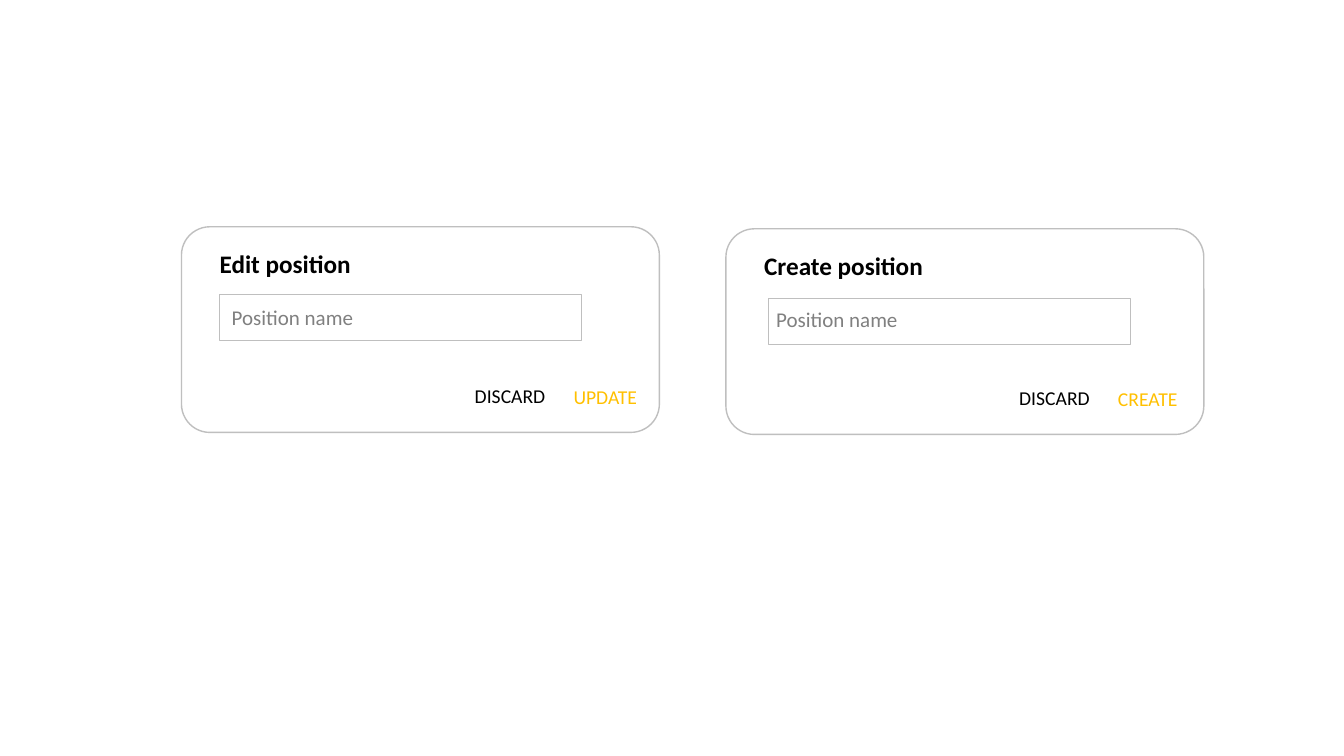
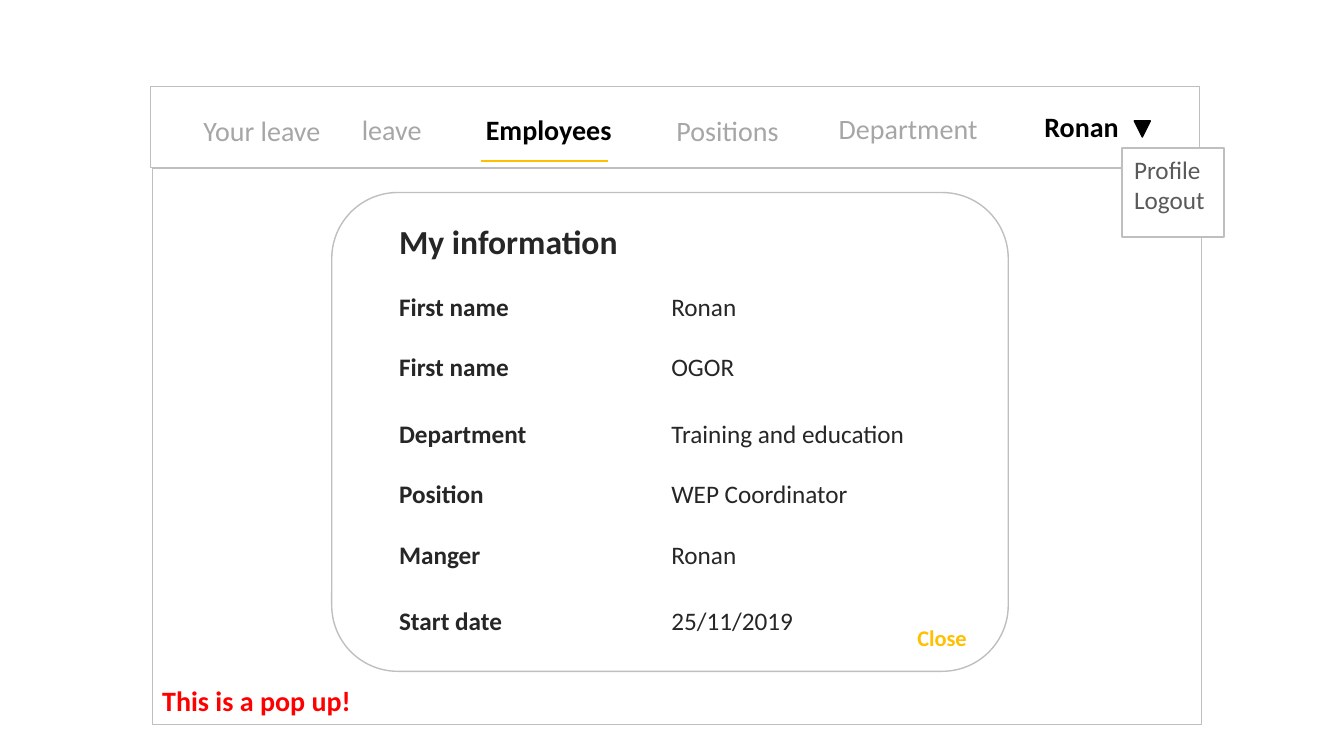
"""Build two wireframe slides: the position dialogs and the employee information pop-up."""
from lxml import etree
from pptx import Presentation
from pptx.dml.color import RGBColor
from pptx.enum.shapes import MSO_CONNECTOR, MSO_SHAPE
from pptx.enum.text import MSO_AUTO_SIZE
from pptx.oxml.ns import qn
from pptx.util import Emu, Pt

RECTANGLE = MSO_SHAPE.RECTANGLE
ROUNDED = MSO_SHAPE.ROUNDED_RECTANGLE
TRIANGLE = MSO_SHAPE.FLOWCHART_MERGE
STRAIGHT = MSO_CONNECTOR.STRAIGHT
GROW = MSO_AUTO_SIZE.SHAPE_TO_FIT_TEXT

PX = 9144
FONT = "Calibri"
CORNER = 0.138
COLORS = {
    "black": "000000",
    "white": "FFFFFF",
    "border": "BFBFBF",
    "accent": "FFC000",
    "hint": "808080",
    "tab": "A6A6A6",
    "menu": "595959",
    "ink": "262626",
    "alert": "FF0000",
}


def px(length):
    return Emu(length * PX)


def color(name):
    return RGBColor.from_string(COLORS[name])


def write(frame, text, size=18, ink="black", bold=False):
    for index, line in enumerate(text.split("\n")):
        para = frame.paragraphs[0] if index == 0 else frame.add_paragraph()
        span = para.add_run()
        span.text = line
        span.font.name = FONT
        span.font.size = Pt(size)
        span.font.bold = bold
        span.font.color.rgb = color(ink)


class Wireframe:
    def __init__(self):
        self.deck = Presentation()
        self.deck.slide_width = px(1333)
        self.deck.slide_height = px(750)
        self.page = None

    def new_page(self):
        self.page = self.deck.slides.add_slide(self.deck.slide_layouts[6])

    def panel(self, left, top, width, height, kind=RECTANGLE, fill=None, line="border"):
        box = self.page.shapes.add_shape(kind, px(left), px(top), px(width), px(height))
        box.shadow.inherit = False
        if kind == ROUNDED:
            box.adjustments[0] = CORNER
        if fill:
            box.fill.solid()
            box.fill.fore_color.rgb = color(fill)
        else:
            box.fill.background()
        box.line.color.rgb = color(line)
        box.line.width = Pt(1)

    def label(self, left, top, width, height, text, wrap=True, **style):
        box = self.page.shapes.add_textbox(px(left), px(top), px(width), px(height))
        frame = box.text_frame
        frame.word_wrap = wrap
        frame.auto_size = GROW
        write(frame, text, **style)

    def underline(self, left, top, width):
        line = self.page.shapes.add_connector(
            STRAIGHT, px(left), px(top), px(left + width), px(top))
        line.line.color.rgb = color("accent")
        line.line.width = Pt(1.5)
        etree.SubElement(line._element.spPr, qn("a:effectLst"))

    def dialog(self, left, top, title, action, action_width, field_left, field_top):
        self.panel(left, top, 474, 204, ROUNDED)
        self.label(left + 379, top + 152, action_width, 34, action,
                   wrap=False, size=14, ink="accent")
        self.label(left + 281, top + 151, 91, 34, "DISCARD", wrap=False, size=14)
        self.label(left + 28, top + 16, 252, 40, title, bold=True)
        self.label(left + 40, top + 72, 313, 35, "Position name", size=15, ink="hint")
        self.panel(field_left, field_top, 359, 46)


def build_dialogs(wireframe):
    wireframe.new_page()
    wireframe.dialog(180, 225, "Edit position", "UPDATE", 84, 218, 292)
    wireframe.dialog(720, 227, "Create position", "CREATE", 80, 762, 296)


def build_information(wireframe):
    wireframe.new_page()
    wireframe.panel(149, 86, 1041, 80)
    tabs = [
        ("Your leave", 192, 108, 137),
        ("leave", 349, 107, 80),
        ("Employees", 472, 107, 146),
        ("Positions", 661, 108, 123),
        ("Department", 822, 106, 162),
        ("Ronan", 1026, 104, 95),
    ]
    for text, left, top, width in tabs:
        strong = text in ("Employees", "Ronan")
        wireframe.label(left, top, width, 44, text, wrap=False, size=20,
                        ink="black" if strong else "tab", bold=strong)
    wireframe.panel(1125, 120, 16, 16, TRIANGLE, fill="black", line="black")
    wireframe.panel(151, 167, 1041, 552)
    wireframe.panel(1113, 147, 101, 88, fill="white")
    wireframe.label(1115, 148, 103, 71, "Profile\nLogout", ink="menu")
    wireframe.underline(477, 160, 126)

    wireframe.panel(329, 191, 671, 475, ROUNDED)
    wireframe.label(386, 214, 338, 50, "My information", size=24, ink="ink", bold=True)
    details = [
        (284, "First name", "Ronan"),
        (344, "First name", "OGOR"),
        (410, "Department", "Training and education"),
        (470, "Position", "WEP Coordinator"),
        (530, "Manger", "Ronan"),
        (596, "Start date", "25/11/2019"),
    ]
    for top, name, value in details:
        wireframe.label(386, top, 163, 40, name, ink="ink", bold=True)
        wireframe.label(656, top, 271, 40, value, ink="ink")
    wireframe.label(900, 614, 70, 37, "Close", wrap=False, size=16, ink="accent", bold=True)
    wireframe.label(151, 673, 209, 44, "This is a pop up!", wrap=False,
                    size=20, ink="alert", bold=True)


def main():
    wireframe = Wireframe()
    build_dialogs(wireframe)
    build_information(wireframe)
    wireframe.deck.save("out.pptx")


if __name__ == "__main__":
    main()
